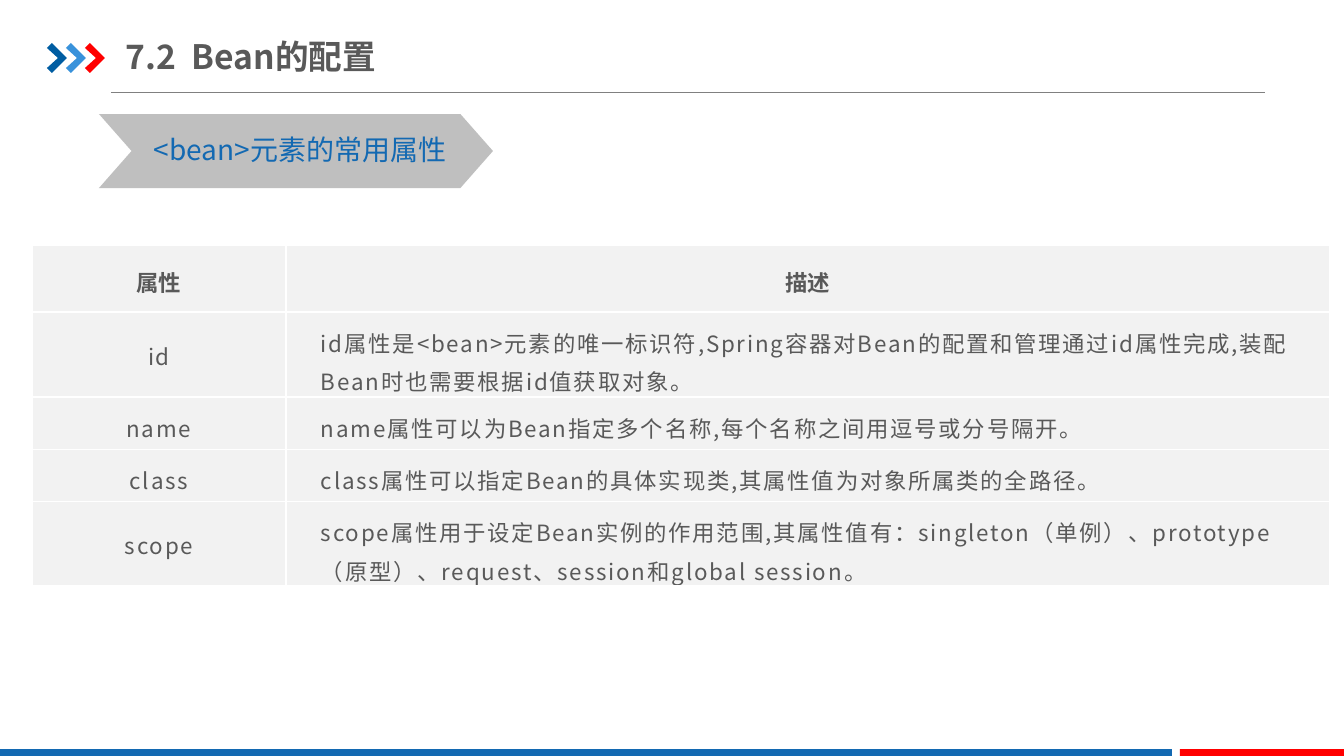
"""Build the slide on the common attributes of the bean element."""
from lxml import etree
from pptx import Presentation
from pptx.dml.color import RGBColor
from pptx.enum.shapes import MSO_CONNECTOR, MSO_SHAPE
from pptx.enum.text import MSO_ANCHOR, MSO_AUTO_SIZE, PP_ALIGN
from pptx.oxml.ns import qn
from pptx.util import Pt

TITLE = "7.2  Bean的配置"
SUBTITLE = "<bean>元素的常用属性"
ROWS = [
    ("属性", "描述"),
    ("id", "id属性是<bean>元素的唯一标识符,Spring容器对Bean的配置和管理通过id属性完成,"
           "装配Bean时也需要根据id值获取对象。"),
    ("name", "name属性可以为Bean指定多个名称,每个名称之间用逗号或分号隔开。"),
    ("class", "class属性可以指定Bean的具体实现类,其属性值为对象所属类的全路径。"),
    ("scope", "scope属性用于设定Bean实例的作用范围,其属性值有：singleton（单例）、"
              "prototype（原型）、request、session和global session。"),
]
COLORS = {
    "navy": "005DA2", "sky": "3992DB", "red": "FF0000", "blue": "1369B2",
    "text": "595959", "rule": "808080", "banner": "BFBFBF",
    "cell": "F2F2F2", "border": "FFFFFF",
}
FONT = "Noto Sans CJK SC"
EMU_PER_PX = 914400 / 100.8
SLIDE_WIDTH, SLIDE_HEIGHT = 1344, 756
COLUMN_WIDTHS = (254, 1044)
ROW_HEIGHTS = (67, 85, 52, 52, 84)
ARROW_OUTLINE = [(0, 5), (5, 0), (20, 15), (5, 30), (0, 25), (11, 15)]
ARROW_LEFT, ARROW_TOP, ARROW_STEP = 47, 43, 19
CENTER, LEFT, MIDDLE = PP_ALIGN.CENTER, PP_ALIGN.LEFT, MSO_ANCHOR.MIDDLE


def px(length):
    return round(length * EMU_PER_PX)


def color(name):
    return RGBColor.from_string(COLORS[name])


def write_text(frame, text, size, color_name="text", bold=False, align=LEFT,
               line_spacing=None, tracking=None):
    paragraph = frame.paragraphs[0]
    paragraph.alignment = align
    paragraph.line_spacing = line_spacing
    run = paragraph.add_run()
    run.text = text
    run.font.size = Pt(size)
    run.font.bold = bold
    run.font.name = FONT
    run.font.color.rgb = color(color_name)
    properties = run.font._element
    etree.SubElement(properties, qn("a:ea")).set("typeface", FONT)
    if tracking:
        properties.set("spc", str(tracking))


def paint(shape, color_name):
    shape.shadow.inherit = False
    shape.fill.solid()
    shape.fill.fore_color.rgb = color(color_name)
    shape.line.fill.background()


def add_block(slide, kind, left, top, width, height, color_name):
    shape = slide.shapes.add_shape(kind, px(left), px(top), px(width), px(height))
    paint(shape, color_name)
    return shape


def add_arrow(slide, left, top, color_name):
    points = [(left + x, top + y) for x, y in ARROW_OUTLINE]
    builder = slide.shapes.build_freeform(*points[0], scale=EMU_PER_PX)
    builder.add_line_segments(points[1:], close=True)
    paint(builder.convert_to_shape(), color_name)


def add_rule(slide, left, right, top):
    rule = slide.shapes.add_connector(
        MSO_CONNECTOR.STRAIGHT, px(left), px(top), px(right), px(top))
    rule.line.color.rgb = color("rule")
    rule.line.width = Pt(0.5)
    etree.SubElement(rule._element.spPr, qn("a:effectLst"))


def set_title(slide):
    title = slide.shapes.title
    title.left, title.top, title.width, title.height = px(126), px(29), px(281), px(55)
    frame = title.text_frame
    frame.auto_size = MSO_AUTO_SIZE.NONE
    frame.vertical_anchor = MIDDLE
    frame.margin_left = frame.margin_right = 0
    frame.margin_top = frame.margin_bottom = px(7)
    write_text(frame, TITLE, 24, bold=True)


def add_banner(slide):
    banner = add_block(slide, MSO_SHAPE.CHEVRON, 99, 114, 394, 74, "banner")
    banner.adjustments[0] = 0.44
    box = slide.shapes.add_textbox(px(144), px(128), px(328), px(44))
    box.text_frame.word_wrap = False
    box.text_frame.auto_size = MSO_AUTO_SIZE.SHAPE_TO_FIT_TEXT
    write_text(box.text_frame, SUBTITLE, 20, "blue")


def format_cell(cell, is_header):
    cell.vertical_anchor = MIDDLE
    cell.margin_left = cell.margin_right = px(35)
    cell.margin_top = px(8)
    cell.margin_bottom = px(8 if is_header else 12)
    properties = cell._tc.get_or_add_tcPr()
    for side in ("a:lnL", "a:lnR", "a:lnT", "a:lnB"):
        border = etree.SubElement(properties, qn(side), w=str(Pt(1)))
        fill = etree.SubElement(border, qn("a:solidFill"))
        etree.SubElement(fill, qn("a:srgbClr"), val=COLORS["border"])
    cell.fill.solid()
    cell.fill.fore_color.rgb = color("cell")


def add_attribute_table(slide):
    table = slide.shapes.add_table(
        len(ROWS), len(COLUMN_WIDTHS), px(32), px(245),
        px(sum(COLUMN_WIDTHS)), px(sum(ROW_HEIGHTS))).table
    table.first_row = table.horz_banding = False
    for column, width in zip(table.columns, COLUMN_WIDTHS):
        column.width = px(width)
    for row_index, (texts, height) in enumerate(zip(ROWS, ROW_HEIGHTS)):
        table.rows[row_index].height = px(height)
        is_header = row_index == 0
        for column_index, text in enumerate(texts):
            cell = table.cell(row_index, column_index)
            format_cell(cell, is_header)
            write_text(cell.text_frame, text, 16, bold=is_header,
                       align=CENTER if is_header or column_index == 0 else LEFT,
                       line_spacing=1.2, tracking=None if is_header else 130)


def main():
    presentation = Presentation()
    presentation.slide_width = px(SLIDE_WIDTH)
    presentation.slide_height = px(SLIDE_HEIGHT)
    slide = presentation.slides.add_slide(presentation.slide_layouts[5])
    add_rule(slide, 111, 1265, 92)
    for index, color_name in enumerate(("navy", "sky", "red")):
        add_arrow(slide, ARROW_LEFT + index * ARROW_STEP, ARROW_TOP, color_name)
    add_block(slide, MSO_SHAPE.RECTANGLE, 0, 749, 1172, 9, "blue")
    add_block(slide, MSO_SHAPE.RECTANGLE, 1180, 749, 164, 9, "red")
    set_title(slide)
    add_banner(slide)
    add_attribute_table(slide)
    presentation.save("out.pptx")


if __name__ == "__main__":
    main()
